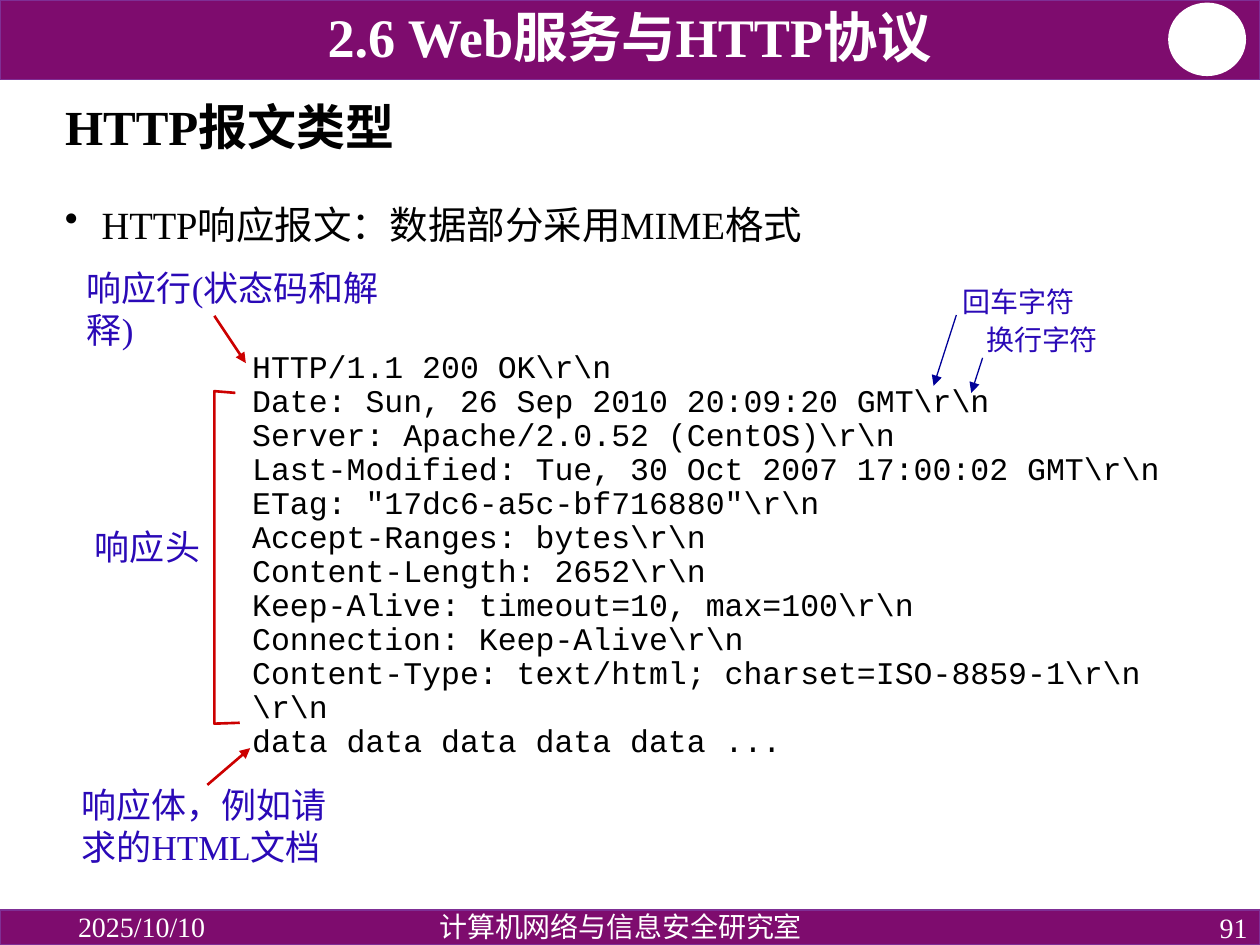
import dataclasses

import pptx
import pptx.dml.color
import pptx.enum.dml
import pptx.enum.shapes
import pptx.enum.text
import pptx.oxml.ns
import pptx.util
from lxml import etree

Pt = pptx.util.Pt
Align = pptx.enum.text.PP_ALIGN
Anchor = pptx.enum.text.MSO_ANCHOR
Preset = pptx.enum.shapes.MSO_SHAPE
qn = pptx.oxml.ns.qn


@dataclasses.dataclass(frozen=True)
class Theme:
    """Hold the colours, type sizes and fonts of the slide."""
    band: str = "7E0C6E"
    band_edge: str = "7F2F95"
    light: str = "FFFFFF"
    ink: str = "000000"
    note: str = "2A09B7"
    red: str = "CC0000"
    navy: str = "000099"
    chapter_size: float = 31
    title_size: float = 28
    body_size: float = 22
    note_size: float = 20
    code_size: float = 18
    small_size: float = 16
    serif: str = "Times New Roman"
    mono: str = "Courier New"
    chinese: str = "Noto Sans CJK SC"


THEME = Theme()

RESPONSE = r"""HTTP/1.1 200 OK\r\n
Date: Sun, 26 Sep 2010 20:09:20 GMT\r\n
Server: Apache/2.0.52 (CentOS)\r\n
Last-Modified: Tue, 30 Oct 2007 17:00:02 GMT\r\n
ETag: "17dc6-a5c-bf716880"\r\n
Accept-Ranges: bytes\r\n
Content-Length: 2652\r\n
Keep-Alive: timeout=10, max=100\r\n
Connection: Keep-Alive\r\n
Content-Type: text/html; charset=ISO-8859-1\r\n
\r\n
data data data data data ...""".split("\n")


def rgb(code):
    """Turn a hex code into a colour."""
    return pptx.dml.color.RGBColor.from_string(code)


def apply(target, values):
    """Set each attribute named in a dict of format values."""
    for name, value in values.items():
        setattr(target, name, value)


def place(box, left, top, width, height):
    """Give the slide position of a part measured from its region's box."""
    return [Pt(v) for v in (box[0] + left, box[1] + top, width, height)]


def write(frame, lines, size, color, font=THEME.serif, bold=False, anchor=Anchor.TOP,
          wrap=True, hang=0, bullet=None, **paragraph_format):
    """Fill a text frame with evenly formatted paragraphs."""
    apply(frame, {"word_wrap": wrap, "vertical_anchor": anchor,
                  "auto_size": pptx.enum.text.MSO_AUTO_SIZE.NONE})
    for index, line in enumerate(lines):
        paragraph = frame.add_paragraph() if index else frame.paragraphs[0]
        properties = paragraph._p.get_or_add_pPr()
        if hang:
            properties.set("marL", str(Pt(hang)))
            properties.set("indent", str(-Pt(hang)))
        if bullet:
            etree.SubElement(properties, qn("a:buChar")).set("char", bullet)
        apply(paragraph, paragraph_format)
        run = paragraph.add_run()
        run.text = line
        apply(run.font, {"size": Pt(size), "name": font, "bold": bold})
        run.font.color.rgb = rgb(color)
        etree.SubElement(run._r.get_or_add_rPr(), qn("a:ea")).set("typeface", THEME.chinese)


def add_text(slide, position, lines, size, color, **style):
    """Add a text box at a position."""
    write(slide.shapes.add_textbox(*position).text_frame, lines, size, color, **style)


def add_solid(slide, preset, position, fill, edge):
    """Add a flat filled shape."""
    solid = slide.shapes.add_shape(preset, *position)
    solid.shadow.inherit = False
    solid.fill.solid()
    solid.fill.fore_color.rgb = rgb(fill)
    solid.line.color.rgb = rgb(edge)
    solid.line.width = Pt(1)


def add_arrow(slide, box, start, end, color, width):
    """Draw an arrow between two points measured from the box."""
    points = [Pt(origin + offset) for point in (start, end) for origin, offset in zip(box, point)]
    arrow = slide.shapes.add_connector(pptx.enum.shapes.MSO_CONNECTOR.STRAIGHT, *points)
    arrow.line.color.rgb = rgb(color)
    arrow.line.width = Pt(width)
    etree.SubElement(arrow.line._get_or_add_ln(), qn("a:tailEnd")).set("type", "triangle")
    etree.SubElement(arrow._element.spPr, qn("a:effectLst"))


def add_header(slide, box):
    """Place the chapter band with its emblem disc."""
    add_solid(slide, Preset.RECTANGLE, place(box, 0, 0, *box[2:]), THEME.band, THEME.band_edge)
    add_solid(slide, Preset.OVAL, place(box, box[2] - 52, 2, 43.5, 41), THEME.light, THEME.light)
    add_text(slide, place(box, 52, 3, 615.5, 40), ["2.6 Web服务与HTTP协议"],
             THEME.chapter_size, THEME.light, bold=True, anchor=Anchor.BOTTOM,
             alignment=Align.CENTER, line_spacing=0.9)


def add_footer(slide, box):
    """Place the bottom band with date, laboratory and page number."""
    add_solid(slide, Preset.RECTANGLE, place(box, 0, 0, *box[2:]), THEME.band, THEME.band_edge)
    entries = [
        ("2025/10/10", (37.5, 0, 162, 19), {"anchor": Anchor.MIDDLE}),
        ("91", (box[2] - 162, 0, 162, 20), {"anchor": Anchor.MIDDLE, "alignment": Align.RIGHT}),
        ("计算机网络与信息安全研究室", (193.5, -1.5, 322.5, 20),
         {"alignment": Align.CENTER, "line_spacing": 0.9}),
    ]
    for entry, spot, style in entries:
        add_text(slide, place(box, *spot), [entry], THEME.small_size, THEME.light, **style)


def add_heading(slide, box):
    """Place the slide title and the bullet below it."""
    title = slide.shapes.title
    apply(title, dict(zip(("left", "top", "width", "height"), place(box, 0, 0, 690, 51))))
    write(title.text_frame, ["HTTP报文类型"], THEME.title_size, THEME.ink, bold=True,
          anchor=Anchor.MIDDLE, alignment=Align.LEFT, line_spacing=0.9)
    add_text(slide, place(box, 0, 56, 646, 37.5), ["HTTP响应报文：数据部分采用MIME格式"],
             THEME.body_size, THEME.ink, hang=21, bullet="•", line_spacing=Pt(33))


def add_message(slide, box):
    """Place the response listing with its part labels and bracket."""
    add_text(slide, place(box, 97.5, 48, 533, 243.5), RESPONSE, THEME.code_size, THEME.ink,
             font=THEME.mono, hang=27, line_spacing=0.9)
    labels = [
        (["响应行(状态码和解释)"], (3, 0, 201.5, 32), {}),
        (["响应头"], (7, 147.5, 75, 32), {"wrap": False, "alignment": Align.RIGHT}),
        (["响应体，例如请", "求的HTML文档"], (0, 295, 157.5, 55.5), {}),
    ]
    for lines, spot, style in labels:
        add_text(slide, place(box, *spot), lines, THEME.note_size, THEME.note, **style)
    for start, end in [((83, 31.5), (101, 58.5)), ((79, 299.5), (103.5, 278.5))]:
        add_arrow(slide, box, start, end, THEME.red, 1.5)
    corners = [(Pt(box[0] + x), Pt(box[1] + y))
               for x, y in [(95, 75.5), (83, 74.5), (83, 264.5), (97.5, 264)]]
    builder = slide.shapes.build_freeform(*corners[0])
    builder.add_line_segments(corners[1:], close=False)
    bracket = builder.convert_to_shape()
    bracket.shadow.inherit = False
    bracket.fill.background()
    bracket.line.color.rgb = rgb(THEME.red)
    bracket.line.width = Pt(1.5)


def add_line_end_notes(slide, box):
    """Place the notes on the two line-end characters."""
    notes = [
        ("回车字符", (9.5, 0), (13, 21), (0, 61.5)),
        ("换行字符", (23, 21.5), (28, 45.5), (21.5, 65.5)),
    ]
    for note, corner, start, end in notes:
        add_text(slide, place(box, *corner, 79, 26.5), [note], THEME.small_size, THEME.note,
                 font=THEME.chinese, wrap=False, hang=27)
        add_arrow(slide, box, start, end, THEME.navy, 0.75)


def main():
    """Build the slide and save it."""
    deck = pptx.Presentation()
    apply(deck, {"slide_width": Pt(720), "slide_height": Pt(540)})
    slide = deck.slides.add_slide(deck.slide_layouts[5])
    add_header(slide, (0, 0, 720, 45.5))
    add_footer(slide, (0, 520, 720, 20))
    add_heading(slide, (30, 48.5, 690, 93.5))
    add_message(slide, (39.5, 149, 630.5, 350.5))
    add_line_end_notes(slide, (533.5, 159, 102, 65.5))
    deck.save("out.pptx")


if __name__ == "__main__":
    main()
